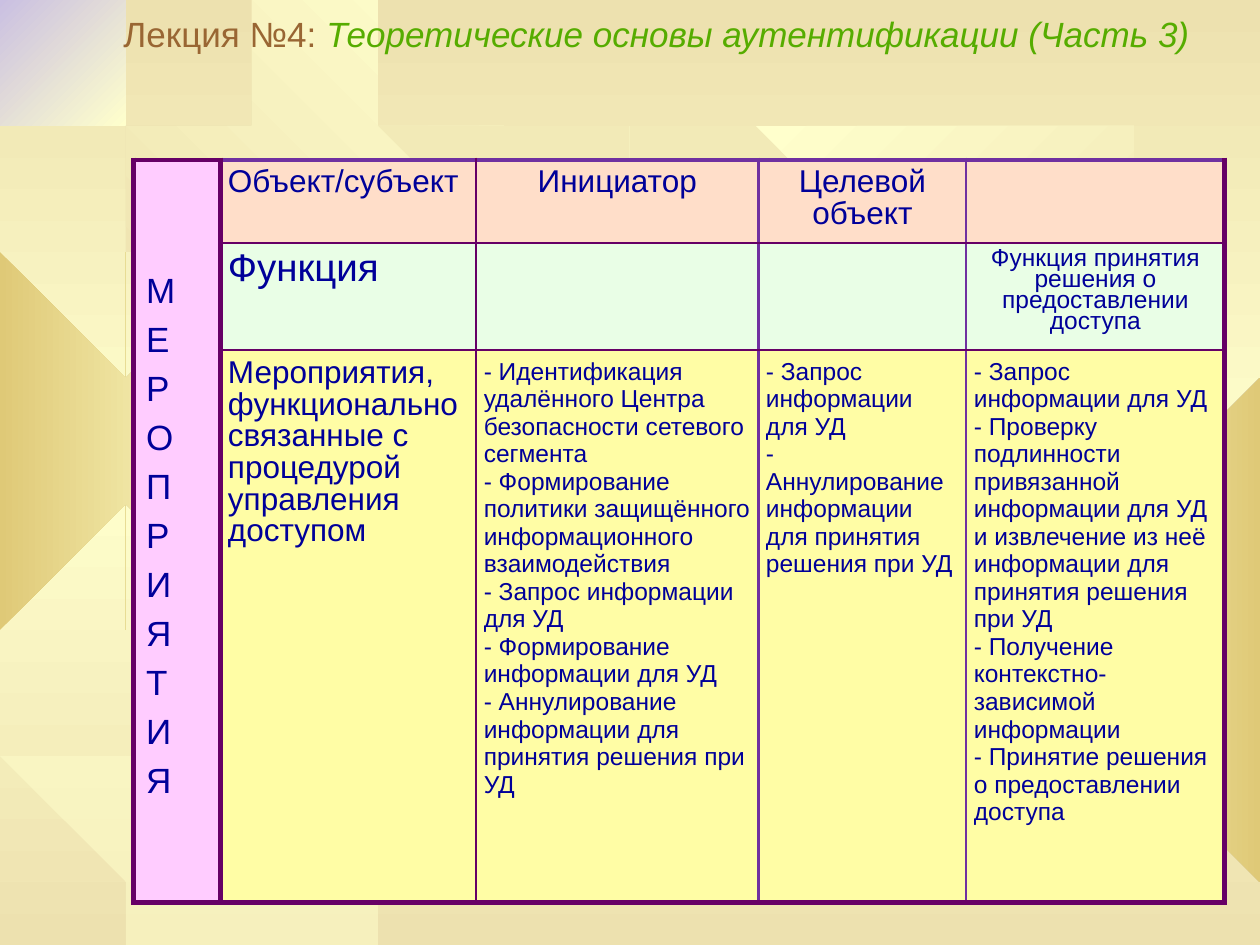
from copy import deepcopy
from lxml.etree import SubElement
from pptx import Presentation
from pptx.dml.color import RGBColor
from pptx.enum.text import MSO_ANCHOR, PP_ALIGN
from pptx.oxml import parse_xml
from pptx.oxml.ns import nsdecls, qn
from pptx.util import Inches, Pt

SAND = RGBColor(0xED, 0xE1, 0xAF)
CREAM = RGBColor(0xFF, 0xFF, 0xCC)
GOLD = RGBColor(0xDF, 0xC9, 0x77)
LILAC = RGBColor(0xCA, 0xC0, 0xE2)
BROWN = RGBColor(0x99, 0x66, 0x33)
GREEN = RGBColor(0x56, 0xAC, 0x00)
AMBER = RGBColor(0xFF, 0x99, 0x33)
NAVY = RGBColor(0x00, 0x00, 0x99)
PLUM = RGBColor(0x66, 0x00, 0x66)
VIOLET = RGBColor(0x70, 0x30, 0xA0)
PINK = RGBColor(0xFF, 0xCC, 0xFF)
PEACH = RGBColor(0xFF, 0xDE, 0xC9)
MINT = RGBColor(0xE9, 0xFE, 0xE6)
LEMON = RGBColor(0xFF, 0xFD, 0xA5)

WIDE, HIGH = 10, 7.5


def write(para, text, size=14, color=NAVY, align=PP_ALIGN.LEFT, space=None,
          italic=False, shadow=False):
    """Add one run of text to a paragraph."""
    para.alignment = align
    if space:
        para.line_spacing = space
    run = para.add_run()
    run.text = text
    font = run.font
    font.name, font.size, font.italic = "Arial", Pt(size), italic
    font.color.rgb = color
    if shadow:
        run.font.fill  # the solid fill is already in place
        run._r.rPr.find(qn("a:solidFill")).addnext(parse_xml(
            f'<a:effectLst {nsdecls("a")}><a:outerShdw dist="25400" dir="2700000">'
            f'<a:srgbClr val="{AMBER}"/></a:outerShdw></a:effectLst>'))


def shade(fill, node, angle, *tones):
    """Fill with evenly spaced gradient tones; the angle runs clockwise."""
    fill.gradient()
    fill.gradient_angle = -angle % 360
    stops = next(node.iter(qn("a:gsLst")))
    while len(stops) < len(tones):
        stops.append(deepcopy(stops[0]))
    for i, (stop, tone) in enumerate(zip(fill.gradient_stops, tones)):
        stop.color.rgb = tone
        stop.position = i / (len(tones) - 1)


deck = Presentation()
deck.slide_width, deck.slide_height = Inches(WIDE), Inches(HIGH)
slide = deck.slides.add_slide(deck.slide_layouts[6])
shade(slide.background.fill, slide.element, 90, SAND, CREAM, SAND)

# Gear outline on a grid of 401 units
GRID = 401
GEAR = [
    (255, 67), (223, 59), (219, 0), (180, 3), (177, 59), (151, 68), (113, 20),
    (87, 35), (112, 88), (94, 106), (38, 85), (25, 107), (68, 145), (61, 174),
    (1, 178), (0, 210), (61, 219), (67, 246), (22, 287), (38, 312), (88, 288),
    (107, 307), (81, 355), (106, 375), (151, 332), (177, 341), (183, 400),
    (222, 401), (226, 339), (259, 330), (299, 374), (325, 358), (299, 306),
    (316, 284), (368, 309), (384, 281), (336, 246), (342, 216), (401, 210),
    (400, 180), (341, 171), (335, 148), (383, 114), (367, 87), (313, 109),
    (296, 91), (323, 41), (297, 25)]

# Gears, cut at the slide's edges: left, top, size, angle, tones
gears = [
    (-0.49, 2.01, 2.96, 0, GOLD, CREAM),
    (0.12, -0.04, 0.92, 45, LILAC, CREAM),
    (1.3, 0.39, 2.48, 315, SAND, CREAM),
    (2.77, 1.39, 4.01, 45, CREAM, SAND),
    (0, 5.25, 3.74, 0, CREAM),
    (4.91, 4.84, 2.48, 45, SAND, CREAM),
    (6.18, 0.53, 3.2, 45, CREAM, SAND),
    (7.82, 2.8, 4.37, 0, CREAM, GOLD)]
for left, top, size, angle, *tones in gears:
    spots = [(min(max(left + x / GRID * size, 0), WIDE),
              min(max(top + y / GRID * size, 0), HIGH)) for x, y in GEAR]
    path = slide.shapes.build_freeform(*spots[0], scale=Inches(1))
    path.add_line_segments(spots[1:], close=True)
    gear = path.convert_to_shape()
    gear.shadow.inherit = False
    gear.line.fill.background()
    if len(tones) > 1:
        shade(gear.fill, gear.element, angle, *tones)
    else:
        gear.fill.solid()
        gear.fill.fore_color.rgb = tones[0]
        tint = next(gear.element.spPr.iter(qn("a:srgbClr")))
        SubElement(tint, qn("a:alpha")).set("val", "50000")

# Title
box = slide.shapes.add_textbox(Inches(0.98), Inches(0.13), Inches(9.02), Inches(0.31))
frame = box.text_frame
frame.word_wrap = True
frame.vertical_anchor = MSO_ANCHOR.MIDDLE
frame.margin_left = frame.margin_right = frame.margin_top = frame.margin_bottom = 0
line = frame.paragraphs[0]
write(line, "Лекция №4: ", size=20, color=BROWN, space=0.9, shadow=True)
write(line, "Теоретические основы аутентификации (Часть 3)", size=20, color=GREEN,
      space=0.9, italic=True, shadow=True)

# Table content: row, column -> paragraphs and their format
MID = PP_ALIGN.CENTER
cells = {
    (0, 0): (list("МЕРОПРИЯТИЯ"), dict(size=20, space=Pt(28))),
    (0, 1): (["Объект/субъект"], dict(size=18, space=0.9)),
    (0, 2): (["Инициатор"], dict(size=18, space=0.9, align=MID)),
    (0, 3): (["Целевой объект"], dict(size=18, space=0.9, align=MID)),
    (1, 1): (["Функция"], dict(size=22, space=0.9)),
    (1, 4): (["Функция принятия решения о предоставлении доступа"],
             dict(space=Pt(12), align=MID)),
    (2, 1): (["Мероприятия, функционально связанные с процедурой управления доступом"],
             dict(size=18, space=0.9)),
    (2, 2): (["- Идентификация удалённого Центра безопасности сетевого сегмента",
              "- Формирование политики защищённого информационного взаимодействия",
              "- Запрос информации для УД",
              "- Формирование информации для УД",
              "- Аннулирование информации для принятия решения при УД"], {}),
    (2, 3): (["- Запрос информации для УД",
              "- Аннулирование информации для принятия решения при УД"], {}),
    (2, 4): (["- Запрос информации для УД",
              "- Проверку подлинности привязанной информации для УД и извлечение "
              "из неё информации для принятия решения при УД",
              "- Получение контекстно-зависимой информации",
              "- Принятие решения о предоставлении доступа"], {}),
}
cols = [0.69, 2.03, 2.24, 1.65, 2.05]
rows = [0.65, 0.85, 4.38]
tints = [PEACH, MINT, LEMON]

# Rules between columns and rows: colour, width in points
bold, thin = (PLUM, 3), (PLUM, 1.5)
walls = [bold, bold, thin, (VIOLET, 1.5), (VIOLET, 1.5), bold]
floors = [(VIOLET, 3), thin, thin, bold]

table = slide.shapes.add_table(len(rows), len(cols), Inches(1.06), Inches(1.27),
                               Inches(sum(cols)), Inches(sum(rows))).table
table.first_row = table.horz_banding = False
for col, width in zip(table.columns, cols):
    col.width = Inches(width)
for row, height in zip(table.rows, rows):
    row.height = Inches(height)
table.cell(0, 0).merge(table.cell(2, 0))

for r in range(len(rows)):
    for c in range(len(cols)):
        cell = table.cell(r, c)
        side = c == 0
        # Borders
        edges = dict(lnL=walls[c], lnR=walls[c + 1],
                     lnT=bold if side else floors[r],
                     lnB=bold if side else floors[r + 1])
        props = cell._tc.get_or_add_tcPr()
        for tag, (color, width) in edges.items():
            props.append(parse_xml(
                f'<a:{tag} {nsdecls("a")} w="{Pt(width)}"><a:solidFill>'
                f'<a:srgbClr val="{color}"/></a:solidFill></a:{tag}>'))
        # Fill and margins
        cell.fill.solid()
        cell.fill.fore_color.rgb = PINK if side else tints[r]
        cell.margin_left = cell.margin_right = Inches(0.1 if side else 0.06)
        cell.margin_top = cell.margin_bottom = Inches(0.05 if side else 0.06)
        cell.vertical_anchor = MSO_ANCHOR.MIDDLE if side else MSO_ANCHOR.TOP
        # Text
        texts, style = cells.get((r, c), ([], {}))
        for i, text in enumerate(texts):
            body = cell.text_frame
            write(body.add_paragraph() if i else body.paragraphs[0], text, **style)

deck.save("out.pptx")
